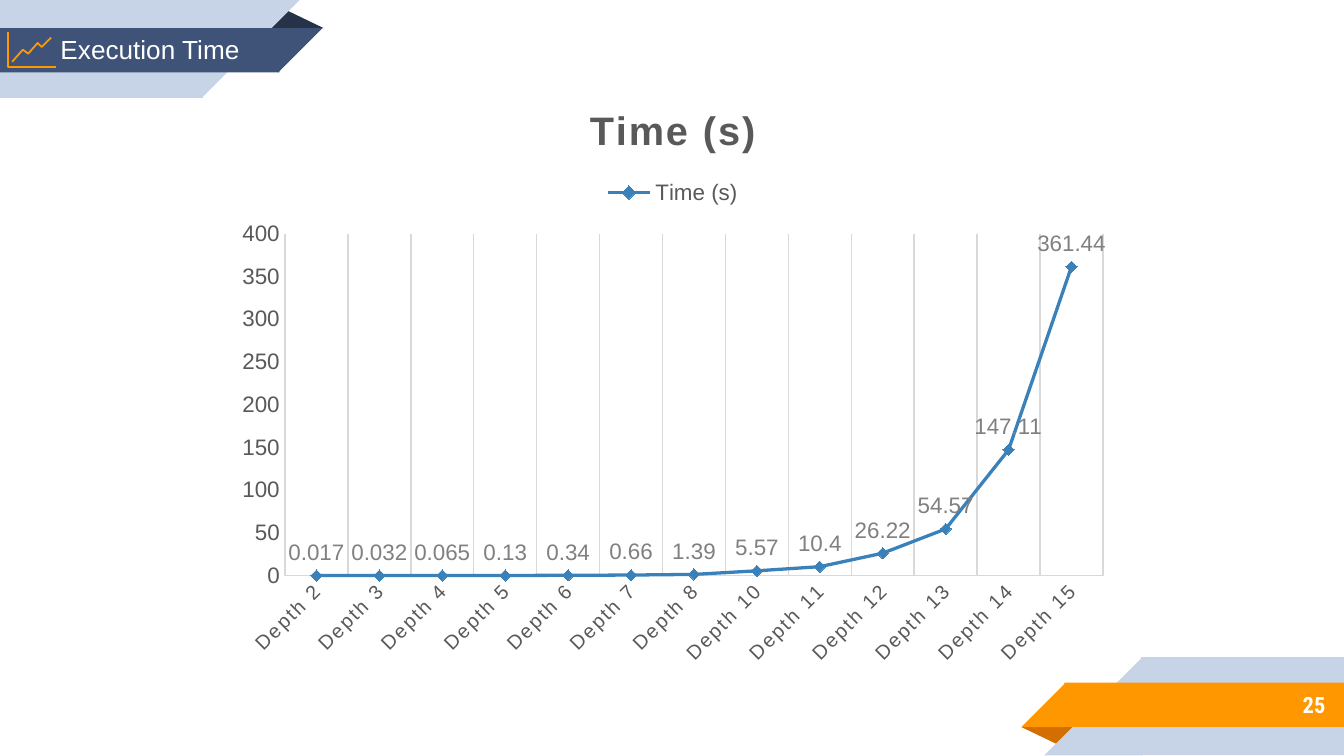
from pptx import Presentation
from pptx.chart.data import CategoryChartData
from pptx.dml.color import RGBColor
from pptx.enum import chart as ce, shapes, text
from pptx.util import Inches, Pt

COLORS = {
    "pale": "C7D3E6", "navy": "3F5378", "dark": "263248",
    "orange": "FF9800", "rust": "D26F00", "white": "FFFFFF",
    "line": "3A81BA", "grid": "D9D9D9", "axis": "595959", "label": "808080",
}
TITLE = "Execution Time"
PAGE = "25"
SERIES = "Time (s)"
TIMES = {
    2: 0.017, 3: 0.032, 4: 0.065, 5: 0.13, 6: 0.34, 7: 0.66, 8: 1.39,
    10: 5.57, 11: 10.4, 12: 26.22, 13: 54.57, 14: 147.11, 15: 361.44,
}
RECT = shapes.MSO_SHAPE.RECTANGLE
CORNER = shapes.MSO_SHAPE.RIGHT_TRIANGLE
FOLD = shapes.MSO_SHAPE.ISOSCELES_TRIANGLE
# kind, box, colour, rotation; rectangles overlap their corners by 0.01
RIBBONS = [
    (FOLD, (7.6, 5.41, 0.43, 0.14), "rust", 180),
    (RECT, (8.49, 4.89, 1.51, 0.73), "pale", 0),
    (CORNER, (7.77, 4.89, 0.73, 0.73), "pale", 270),
    (RECT, (7.92, 5.08, 2.08, 0.33), "orange", 0),
    (CORNER, (7.6, 5.08, 0.33, 0.33), "orange", 270),
    (FOLD, (1.98, 0.07, 0.43, 0.14), "dark", 0),
    (RECT, (0, 0, 1.51, 0.73), "pale", 0),
    (CORNER, (1.5, 0, 0.73, 0.73), "pale", 90),
    (RECT, (0, 0.21, 2.08, 0.33), "navy", 0),
    (CORNER, (2.07, 0.21, 0.33, 0.33), "navy", 90),
]
# hundredths of an inch
ICON_LINES = [
    [(6, 24), (6, 50), (42, 50)],
    [(9, 46), (17, 37), (21, 40), (28, 32), (31, 35), (38, 28)],
]


def color(name):
    return RGBColor.from_string(COLORS[name])


def set_font(font, size, name, face="Arial", bold=False):
    font.size, font.name, font.bold = Pt(size), face, bold
    font.color.rgb = color(name)


def set_line(line, name, width):
    line.color.rgb = color(name)
    line.width = Pt(width)


def place(shape, box):
    shape.left, shape.top, shape.width, shape.height = map(Inches, box)


def add_ribbon(slide, kind, box, fill, rotation):
    shape = slide.shapes.add_shape(kind, *map(Inches, box))
    if kind == FOLD:
        shape.adjustments[0] = 0.324
    shape.rotation = rotation
    shape.shadow.inherit = False
    shape.fill.solid()
    shape.fill.fore_color.rgb = color(fill)
    shape.line.fill.background()


def add_icon_line(slide, points):
    builder = slide.shapes.build_freeform(*points[0], scale=Inches(0.01))
    builder.add_line_segments(points[1:], close=False)
    shape = builder.convert_to_shape()
    shape.shadow.inherit = False
    shape.fill.background()
    set_line(shape.line, "orange", 0.96)


def add_chart(slide):
    data = CategoryChartData()
    data.categories = [f"Depth {depth}" for depth in TIMES]
    data.add_series(SERIES, list(TIMES.values()))
    box = map(Inches, (1.67, 0.59, 6.67, 4.44))
    chart = slide.shapes.add_chart(ce.XL_CHART_TYPE.LINE_MARKERS, *box, data).chart
    chart.font.name, chart.font.size = "Arial", Pt(10)

    chart.has_title = True
    frame = chart.chart_title.text_frame
    frame.text = SERIES
    title_font = frame.paragraphs[0].runs[0].font
    set_font(title_font, 21.3, "axis", bold=True)
    chart.chart_title.include_in_layout = False
    chart.has_legend = True
    chart.legend.position = ce.XL_LEGEND_POSITION.TOP
    chart.legend.include_in_layout = False
    set_font(chart.legend.font, 12, "axis")

    categories, values = chart.category_axis, chart.value_axis
    for axis, size in ((categories, 10.6), (values, 12)):
        axis.major_tick_mark = axis.minor_tick_mark = ce.XL_TICK_MARK.NONE
        set_font(axis.tick_labels.font, size, "axis")
        set_line(axis.format.line, "grid", 0.75)
    categories.has_major_gridlines = True
    set_line(categories.major_gridlines.format.line, "grid", 0.75)
    values.has_major_gridlines = False
    values.minimum_scale, values.maximum_scale, values.major_unit = 0, 400, 50
    body = categories._element.find(".//{*}txPr/{*}bodyPr")
    body.set("rot", "-2700000")
    body.set("vert", "horz")
    for font in (title_font, categories.tick_labels.font):
        font._rPr.set("spc", "120")  # letter spacing, 1.2 pt

    chart.plots[0].vary_by_categories = False
    series = chart.plots[0].series[0]
    series.smooth = False
    set_line(series.format.line, "line", 1.75)
    marker = series.marker
    marker.style, marker.size = ce.XL_MARKER_STYLE.DIAMOND, 6
    marker.format.fill.solid()
    marker.format.fill.fore_color.rgb = color("line")
    set_line(marker.format.line, "line", 0.75)
    labels = series.data_labels
    labels.show_value = True
    labels.position = ce.XL_LABEL_POSITION.ABOVE
    set_font(labels.font, 12, "label")


def main():
    presentation = Presentation()
    presentation.slide_width = Inches(10)
    presentation.slide_height = presentation.slide_width * 9 // 16
    slide = presentation.slides.add_slide(presentation.slide_layouts[5])
    for ribbon in RIBBONS:
        add_ribbon(slide, *ribbon)

    number = slide.shapes.add_textbox(*map(Inches, (8.33, 5.07, 1.63, 0.35)))
    frame = number.text_frame
    frame.word_wrap = True
    frame.vertical_anchor = text.MSO_ANCHOR.MIDDLE
    frame.margin_top = frame.margin_bottom = Inches(0.1)
    frame.text = PAGE
    frame.paragraphs[0].alignment = text.PP_ALIGN.RIGHT
    set_font(frame.paragraphs[0].font, 12, "white", "Roboto Condensed", True)

    title = slide.shapes.title
    place(title, (0.35, 0.2, 1.55, 0.34))
    frame = title.text_frame
    frame.text = TITLE
    frame.word_wrap = False
    frame.auto_size = text.MSO_AUTO_SIZE.SHAPE_TO_FIT_TEXT
    frame.vertical_anchor = text.MSO_ANCHOR.TOP
    frame.paragraphs[0].alignment = text.PP_ALIGN.LEFT
    set_font(frame.paragraphs[0].font, 14, "white")
    # The title comes first in the layout, so bring it in front of the ribbons.
    slide.shapes._spTree.append(title._element)

    add_chart(slide)
    for points in ICON_LINES:
        add_icon_line(slide, points)
    presentation.save("out.pptx")


if __name__ == "__main__":
    main()
